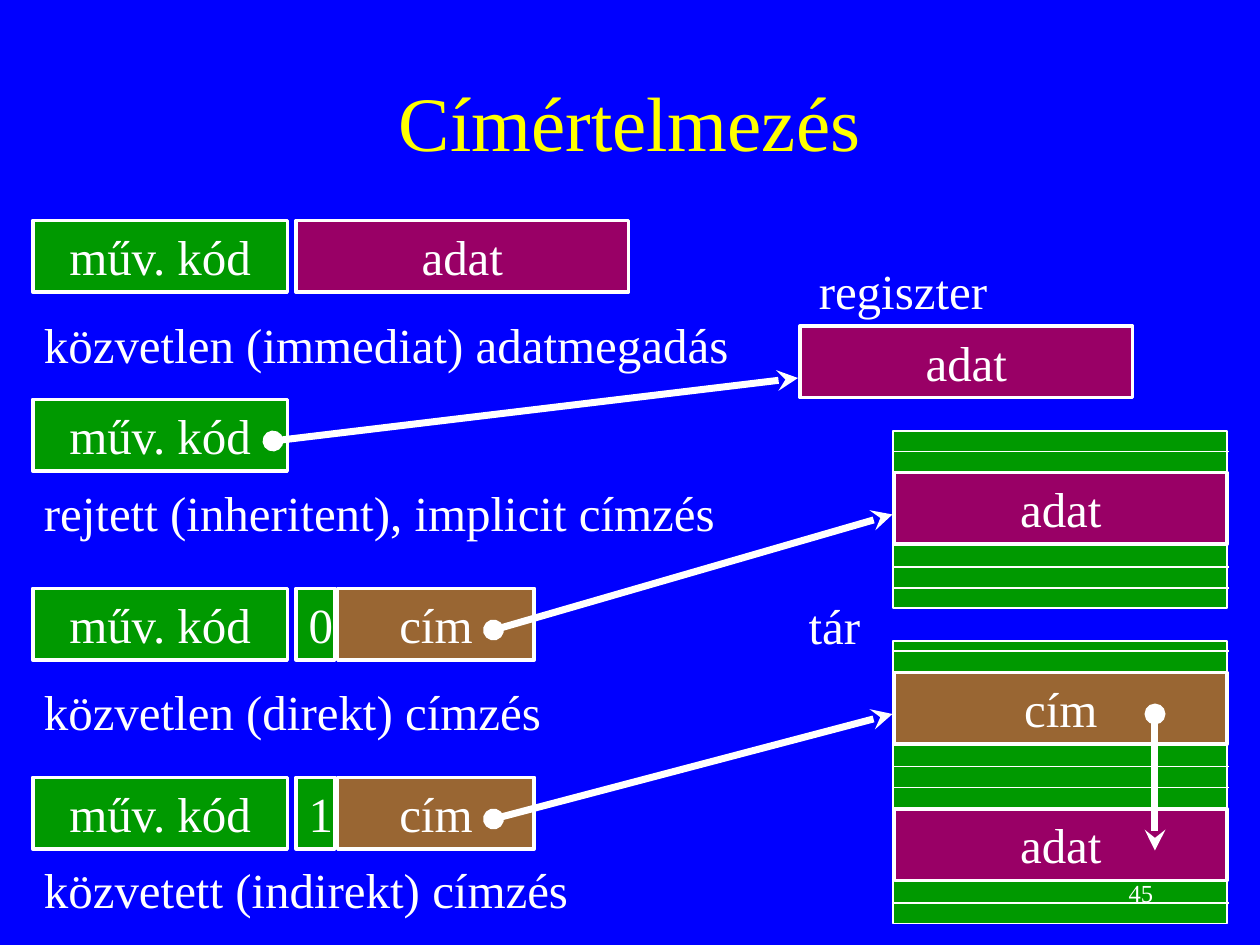
from dataclasses import dataclass

from lxml.etree import SubElement
from pptx import Presentation
from pptx.dml.color import RGBColor
from pptx.enum.shapes import MSO_CONNECTOR, MSO_SHAPE
from pptx.enum.text import MSO_ANCHOR, PP_ALIGN
from pptx.oxml.ns import qn
from pptx.util import Pt


@dataclass(frozen=True)
class Theme:
    background: RGBColor = RGBColor(0x00, 0x00, 0xFF)
    title: RGBColor = RGBColor(0xFF, 0xFF, 0x00)
    ink: RGBColor = RGBColor(0xFF, 0xFF, 0xFF)
    code: RGBColor = RGBColor(0x00, 0x99, 0x00)
    data: RGBColor = RGBColor(0x99, 0x00, 0x66)
    address: RGBColor = RGBColor(0x99, 0x66, 0x33)
    font: str = "Times New Roman"
    title_size: int = 44
    body_size: int = 28
    number_size: int = 14


THEME = Theme()
CELL_HEIGHT = 41
CODE_LEFT, CODE_WIDTH = 18.7, 145.5
OPERAND_LEFT, FLAG_WIDTH = 169.2, 22.3
ADDRESS_LEFT, ADDRESS_WIDTH = 193, 112.3
DATA_WIDTH = 190
MEMORY_LEFT, MEMORY_WIDTH = 510.5, 190.8
MEMORY_CELL_LEFT = 511.2
RULE_LEFT, RULE_RIGHT = 510, 702
CAPTION_LEFT = 18


def write(shape, text, size=THEME.body_size, color=THEME.ink,
          align=PP_ALIGN.LEFT, anchor=MSO_ANCHOR.TOP, wrap=True):
    frame = shape.text_frame
    frame.word_wrap = wrap
    frame.vertical_anchor = anchor
    para = frame.paragraphs[0]
    para.alignment = align
    span = para.add_run()
    span.text = text
    span.font.name = THEME.font
    span.font.size = Pt(size)
    span.font.color.rgb = color


def add_label(page, text, left, top, width, height=CELL_HEIGHT, **text_format):
    box = page.shapes.add_textbox(Pt(left), Pt(top), Pt(width), Pt(height))
    write(box, text, **text_format)


def add_box(page, left, top, width, height, fill, line_width):
    box = page.shapes.add_shape(
        MSO_SHAPE.RECTANGLE, Pt(left), Pt(top), Pt(width), Pt(height))
    box.shadow.inherit = False
    box.fill.solid()
    box.fill.fore_color.rgb = fill
    box.line.color.rgb = THEME.ink
    box.line.width = Pt(line_width)
    return box


def add_cell(page, text, left, top, width, fill):
    box = add_box(page, left, top, width, CELL_HEIGHT, fill, 2)
    write(box, text, align=PP_ALIGN.CENTER)


def add_line(page, start, end, width):
    line = page.shapes.add_connector(
        MSO_CONNECTOR.STRAIGHT, *(Pt(value) for value in (*start, *end)))
    line.line.color.rgb = THEME.ink
    line.line.width = Pt(width)
    SubElement(line._element.spPr, qn("a:effectLst"))
    return line


def add_pointer(page, start, end):
    outline = add_line(page, start, end, 4).line._get_or_add_ln()
    SubElement(outline, qn("a:headEnd"), type="oval")
    SubElement(outline, qn("a:tailEnd"), type="stealth")


def add_memory(page, top, height, cells, rules):
    add_box(page, MEMORY_LEFT, top, MEMORY_WIDTH, height, THEME.code, 1)
    for text, cell_top, fill in cells:
        add_cell(page, text, MEMORY_CELL_LEFT, cell_top, DATA_WIDTH, fill)
    for y in rules:
        add_line(page, (RULE_LEFT, y), (RULE_RIGHT, y), 1)


def add_instructions(page):
    for top in (126, 228.2, 336.2, 444.2):
        add_cell(page, "műv. kód", CODE_LEFT, top, CODE_WIDTH, THEME.code)
    add_cell(page, "adat", OPERAND_LEFT, 126, DATA_WIDTH, THEME.data)
    for flag, top in (("0", 336.2), ("1", 444.2)):
        add_cell(page, flag, OPERAND_LEFT, top, FLAG_WIDTH, THEME.code)
        add_cell(page, "cím", ADDRESS_LEFT, top, ADDRESS_WIDTH, THEME.address)


def add_captions(page):
    for text, left, top, width in (
        ("közvetlen (immediat) adatmegadás", CAPTION_LEFT, 176.4, 406),
        ("rejtett (inheritent), implicit címzés", CAPTION_LEFT, 272.2, 398),
        ("közvetlen (direkt) címzés", CAPTION_LEFT, 386, 299),
        ("közvetett (indirekt) címzés", CAPTION_LEFT, 487.4, 314),
        ("regiszter", 460.8, 145.4, 111),
        ("tár", 455, 337, 44),
    ):
        add_label(page, text, left, top, width, wrap=False)


def main():
    deck = Presentation()
    deck.slide_width, deck.slide_height = Pt(720), Pt(540)
    page = deck.slides.add_slide(deck.slide_layouts[6])
    page.background.fill.solid()
    page.background.fill.fore_color.rgb = THEME.background

    add_label(page, "Címértelmezés", 54, 24, 612, 90, size=THEME.title_size,
              color=THEME.title, align=PP_ALIGN.CENTER, anchor=MSO_ANCHOR.MIDDLE)
    add_instructions(page)
    add_cell(page, "adat", 457.2, 186.3, DATA_WIDTH, THEME.data)
    add_memory(page, 246.4, 101, [("adat", 270, THEME.data)], (258, 324, 336))
    add_memory(page, 366.4, 161.3,
               [("cím", 384.3, THEME.address), ("adat", 462.2, THEME.data)],
               (372, 438, 450, 516))
    for start, end in (
        ((156, 252), (456, 216)),
        ((282, 360), (510, 294)),
        ((282, 468), (510, 408)),
        ((660, 408), (660, 486)),
    ):
        add_pointer(page, start, end)
    add_captions(page)
    add_label(page, "45", 516, 492, 150, 36, size=THEME.number_size,
              align=PP_ALIGN.RIGHT, anchor=MSO_ANCHOR.MIDDLE)
    deck.save("out.pptx")


if __name__ == "__main__":
    main()
